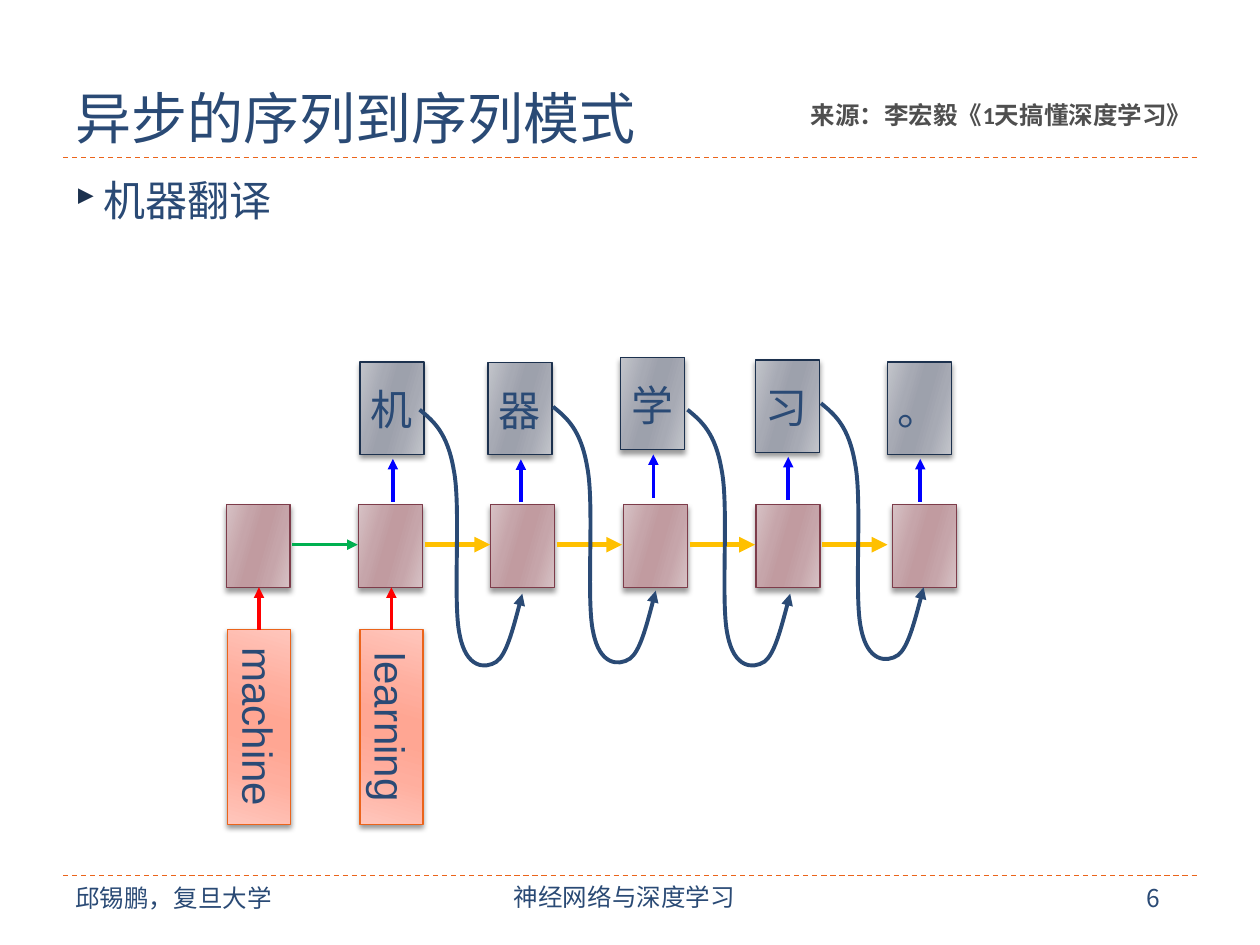
from lxml.etree import SubElement
from pptx import Presentation
from pptx.dml.color import RGBColor
from pptx.enum.dml import MSO_LINE
from pptx.enum.shapes import MSO_CONNECTOR, MSO_SHAPE
from pptx.enum.text import MSO_ANCHOR, PP_ALIGN
from pptx.oxml.ns import qn
from pptx.util import Cm, Pt

NAVY = "2A4A75"
CJK = "Noto Sans CJK SC"
RULES = [3.18, 17.65]
TEXTS = [
    ("神经网络与深度学习", 8.46, 17.65, 8.26, 1.02, 14, "Cambria", NAVY, PP_ALIGN.CENTER, True),
    ("邱锡鹏，复旦大学", 1.27, 17.68, 4.5, 0.86, 14, CJK, NAVY, PP_ALIGN.LEFT, False),
    ("6", 22.86, 17.68, 1.04, 0.86, 14, CJK, NAVY, PP_ALIGN.LEFT, False),
]
TITLE = ("异步的序列到序列模式", 1.27, 0.43, 22.86, 2.74, 32, CJK, NAVY)
BODY = ("机器翻译", 1.27, 3.4, 22.86, 13.72, 24, CJK, NAVY)
SOURCE = ("来源：李宏毅《1天搞懂深度学习》", 16.09, 1.89, 8.26, 0.86, 14, "Calibri", "4F4F4F")

WORDS = ["machine", "learning"]
CELL_LEFTS = [4.56, 7.23, 9.89, 12.57, 15.24, 17.99]
CELL_TOP, CELL_WIDTH, CELL_HEIGHT = 10.17, 1.29, 1.68
OUTPUTS = [("机", 7.26, 7.3), ("器", 9.84, 7.31), ("学", 12.51, 7.21),
           ("习", 15.23, 7.26), ("。", 17.89, 7.3)]
OUTPUT_HEIGHT = 1.86
FEEDBACK_STARTS = [(8.46, 8.26), (11.15, 8.2), (13.86, 8.26), (16.55, 8.13)]
FEEDBACK_CURVE = [
    [(0.28, 0.23), (0.56, 0.46), (0.69, 1.22)],
    [(0.84, 1.98), (0.66, 3.91), (0.81, 4.55)],
    [(0.94, 5.21), (1.32, 5.23), (1.55, 5.08)],
    [(1.75, 4.93), (1.91, 4.32), (2.07, 3.71)],
]

STOPS = [0, 30, 45, 55, 73, 100]
WORD_STYLE = (("FFC6BC", "FFAE9E", "FFA693"), "EB641B")
CELL_STYLE = (("D7C2C5", "C6A5AA", "C19BA0"), "7D3C4A")
OUTPUT_STYLE = (("C3C5CB", "A7AAB4", "9DA1AC"), "1C314E")


def color(value):
    return RGBColor.from_string(value)


def add_child(parent, tag, **attributes):
    return SubElement(parent, qn(tag), attributes)


def write(shape, text, size, font, ink, align=PP_ALIGN.LEFT, bullet=False):
    para = shape.text_frame.paragraphs[0]
    para.text = text
    para.alignment = align
    if bullet:
        properties = para._p.get_or_add_pPr()
        properties.set("marL", str(Cm(0.56)))
        properties.set("indent", str(-Cm(0.56)))
        add_child(add_child(properties, "a:buClr"), "a:srgbClr", val="1C314E")
        add_child(properties, "a:buSzPct", val="76000")
        add_child(properties, "a:buFont", typeface="Wingdings 3", charset="2")
        add_child(properties, "a:buChar", char="}")
    para.font.size = Pt(size)
    para.font.name = font
    para.font.color.rgb = color(ink)
    add_child(para.font._element, "a:ea", typeface=CJK)
    return para


def add_text(page, text, left, top, width, height, size, font, ink,
             align=PP_ALIGN.LEFT, wrap=True, bullet=False):
    box = page.shapes.add_textbox(Cm(left), Cm(top), Cm(width), Cm(height))
    box.text_frame.word_wrap = wrap
    para = write(box, text, size, font, ink, align, bullet)
    return box, para


def add_block(page, left, top, width, height, style):
    shades, edge = style
    block = page.shapes.add_shape(MSO_SHAPE.RECTANGLE, Cm(left), Cm(top), Cm(width), Cm(height))
    block.fill.gradient()
    block.fill.gradient_angle = 344
    properties = block._element.spPr
    stops = properties.find(qn("a:gradFill")).find(qn("a:gsLst"))
    for stop in list(stops):
        stops.remove(stop)
    for position, shade in zip(STOPS, shades + shades[::-1]):
        stop = add_child(stops, "a:gs", pos=str(position * 1000))
        add_child(stop, "a:srgbClr", val=shade)
    block.line.color.rgb = color(edge)
    block.line.width = Pt(0.75)
    block.shadow.inherit = False
    shadow = add_child(properties.find(qn("a:effectLst")), "a:outerShdw",
                       blurRad=str(Pt(3)), dist=str(Pt(2)), dir="5400000", rotWithShape="0")
    add_child(add_child(shadow, "a:srgbClr", val="000000"), "a:alpha", val="40000")
    return block


def add_head(shape):
    add_child(shape.line._get_or_add_ln(), "a:tailEnd", type="triangle")


def add_line(page, start, end, ink, width, arrow=True):
    line = page.shapes.add_connector(MSO_CONNECTOR.STRAIGHT, *map(Cm, start + end))
    line.line.color.rgb = color(ink)
    line.line.width = Pt(width)
    if arrow:
        add_head(line)
    else:
        line.line.dash_style = MSO_LINE.DASH
    add_child(line._element.spPr, "a:effectLst")


def add_feedback(page, left, top):
    builder = page.shapes.build_freeform(Cm(left), Cm(top))
    ends = [segment[-1] for segment in FEEDBACK_CURVE]
    builder.add_line_segments([(Cm(left + x), Cm(top + y)) for x, y in ends], close=False)
    curve = builder.convert_to_shape()
    straights = list(curve._element.spPr.iter(qn("a:lnTo")))
    for straight, segment in zip(straights, FEEDBACK_CURVE):
        outline = straight.getparent()
        outline.remove(straight)
        bend = add_child(outline, "a:cubicBezTo")
        for x, y in segment:
            add_child(bend, "a:pt", x=str(Cm(x)), y=str(Cm(y)))
    curve.fill.background()
    curve.line.color.rgb = color(NAVY)
    curve.line.width = Pt(2.25)
    curve.shadow.inherit = False
    add_head(curve)


def main():
    deck = Presentation()
    deck.slide_width, deck.slide_height = Cm(25.4), Cm(19.05)
    page = deck.slides.add_slide(deck.slide_layouts[6])

    for top in RULES:
        add_line(page, (1.27, top), (24.13, top), "EB641B", 0.75, arrow=False)
    for text in TEXTS:
        add_text(page, *text)
    title, _ = add_text(page, *TITLE)
    title.text_frame.vertical_anchor = MSO_ANCHOR.BOTTOM
    add_text(page, *BODY, bullet=True)

    for left in CELL_LEFTS:
        add_block(page, left, CELL_TOP, CELL_WIDTH, CELL_HEIGHT, CELL_STYLE)
    for word, left in zip(WORDS, CELL_LEFTS):
        middle = left + 0.66
        block = add_block(page, middle - 1.97, 14.02, 3.94, 1.27, WORD_STYLE)
        block.rotation = 90
        block.text_frame.word_wrap = True
        block.text_frame.vertical_anchor = MSO_ANCHOR.TOP
        write(block, word, 24, "Arial", NAVY, PP_ALIGN.CENTER)
        add_line(page, (middle, 12.7), (middle, 11.84), "FF0000", 2)

    for text, left, top in OUTPUTS:
        add_block(page, left, top, CELL_WIDTH, OUTPUT_HEIGHT, OUTPUT_STYLE)
        add_text(page, text, left - 0.24, top + 0.31, 1.75, 1.27, 24, "Arial", NAVY,
                 PP_ALIGN.CENTER)
        middle = left + 0.66
        add_line(page, (middle, top + 2.82), (middle, top + 1.95), "0000FF", 2)

    for index, left in enumerate(CELL_LEFTS[:-1]):
        ink, width = ("FFC000", 3) if index else ("00B050", 2)
        start = left + 1.33
        add_line(page, (start, 10.98), (start + 1.32, 10.98), ink, width)
    for left, top in FEEDBACK_STARTS:
        add_feedback(page, left, top)
    _, para = add_text(page, *SOURCE)
    para.font.bold = True

    deck.save("out.pptx")


if __name__ == "__main__":
    main()
